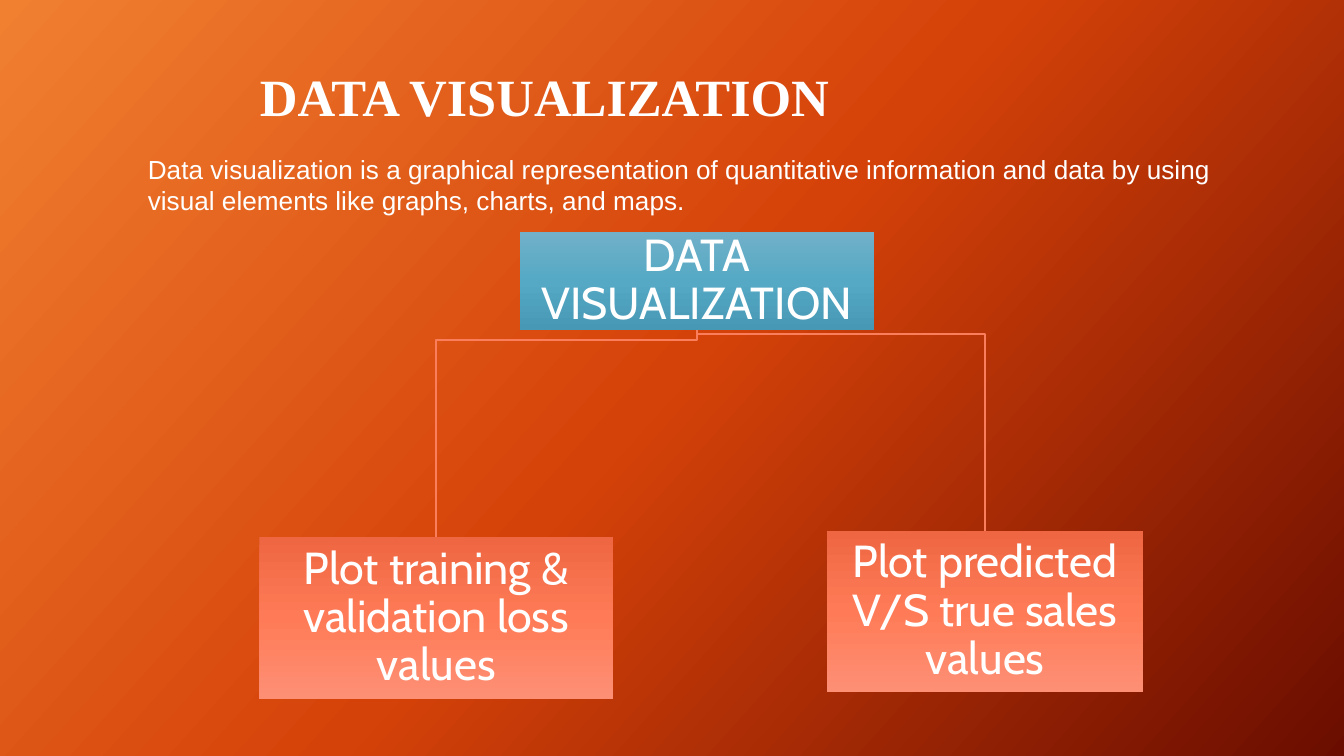
from copy import deepcopy
from pptx import Presentation
from pptx.dml.color import RGBColor
from pptx.enum.shapes import MSO_SHAPE as Kind
from pptx.enum.text import MSO_ANCHOR as Anchor, MSO_AUTO_SIZE as Auto, PP_ALIGN as Align
from pptx.oxml.ns import qn
from pptx.oxml.xmlchemy import OxmlElement as Node
from pptx.util import Pt

BLUE = ["71B0C8", "55A9C5", "4798B4"]
CORAL = ["EE6742", "FF7B57", "FD8F75"]
FIRE = ["F18031", "D54209", "6A0D00"]


def color(code):
    """Turn a hex string into a colour."""
    return RGBColor.from_string(code)


def blend(fill, root, codes, angle):
    """Give a fill three even gradient stops at a clockwise angle."""
    fill.gradient()
    fill.gradient_angle = 360 - angle
    stops = next(root.iter(qn("a:gsLst")))
    stops.insert(1, deepcopy(stops[0]))
    for i, (stop, code) in enumerate(zip(fill.gradient_stops, codes)):
        stop.color.rgb = color(code)
        stop.position = i / 2


def write(frame, text, face, size, bold=False, align=Align.LEFT, gap=1.0):
    """Set one white paragraph in a text frame."""
    frame.text = text
    frame.word_wrap = True
    frame.auto_size = Auto.NONE
    para = frame.paragraphs[0]
    para.alignment, para.line_spacing, para.space_before = align, gap, Pt(0)
    font = para.runs[0].font
    font.name, font.size, font.bold = face, Pt(size), bold
    font.color.rgb = color("FFFFFF")


def place(shape, box):
    """Move a shape to a box given in points."""
    shape.left, shape.top, shape.width, shape.height = map(Pt, box)


def head(slide, box):
    """Place the title in its box."""
    title = slide.shapes.title
    place(title, box)
    write(title.text_frame, "DATA VISUALIZATION", "Times New Roman", 28, True)
    title.text_frame.vertical_anchor = Anchor.TOP


def intro(slide, box):
    """Place the opening sentence without a bullet."""
    body = slide.placeholders[1]
    place(body, box)
    write(body.text_frame, "Data visualization is a graphical representation of "
          "quantitative information and data by using visual elements like "
          "graphs, charts, and maps.", "Arial", 14)
    props = body.text_frame.paragraphs[0]._p.get_or_add_pPr()
    props.set("marL", "0")
    props.set("indent", "0")
    props.append(Node("a:buNone"))


def block(slide, box, text, codes):
    """Draw one labelled gradient box of the tree."""
    shape = slide.shapes.add_shape(Kind.RECTANGLE, *map(Pt, box))
    shape.shadow.inherit = False
    blend(shape.fill, shape._element, codes, 90)
    shape.line.fill.background()
    frame = shape.text_frame
    frame.margin_left = frame.margin_right = Pt(1.2)
    frame.margin_top = frame.margin_bottom = Pt(1.2)
    frame.vertical_anchor = Anchor.MIDDLE
    write(frame, text, "Cabin", 24, align=Align.CENTER, gap=0.9)


def branch(slide, start, end, drop):
    """Draw a bent line from the root box down to a leaf box."""
    x, y = start[0] + start[2] / 2, start[1] + start[3]
    to, low = end[0] + end[2] / 2, end[1]
    pen = slide.shapes.build_freeform(Pt(x), Pt(y))
    bends = [(x, y + drop), (to, y + drop), (to, low)]
    pen.add_line_segments([(Pt(a), Pt(b)) for a, b in bends], close=False)
    line = pen.convert_to_shape()
    line.shadow.inherit = False
    line.fill.background()
    line.line.color.rgb = color("FA7E5C")
    line.line.width = Pt(1)


def tree(slide, box):
    """Draw the root and its two leaves inside a box."""
    x, y, wide, high = box
    root = (x + 139.6, y, 189.6, 52.4)
    leaves = [
        ((x, y + high - 86.5, 189.6, 86.5), 5.3,
         "Plot training & validation loss values"),
        ((x + wide - 169.5, y + high - 90, 169.5, 86.5), 2,
         "Plot predicted V/S true sales values"),
    ]
    for leaf, drop, _ in reversed(leaves):
        branch(slide, root, leaf, drop)
    block(slide, root, "DATA VISUALIZATION", BLUE)
    for leaf, _, text in leaves:
        block(slide, leaf, text, CORAL)


def main():
    """Build the slide and save it."""
    deck = Presentation()
    deck.slide_width, deck.slide_height = Pt(720), Pt(405)
    slide = deck.slides.add_slide(deck.slide_layouts[1])
    blend(slide.background.fill, slide._element, FIRE, 42)
    head(slide, (132, 31, 356, 41))
    intro(slide, (72, 78.5, 600, 41))
    tree(slide, (138.9, 124.4, 473.6, 250))
    deck.save("out.pptx")


if __name__ == "__main__":
    main()
